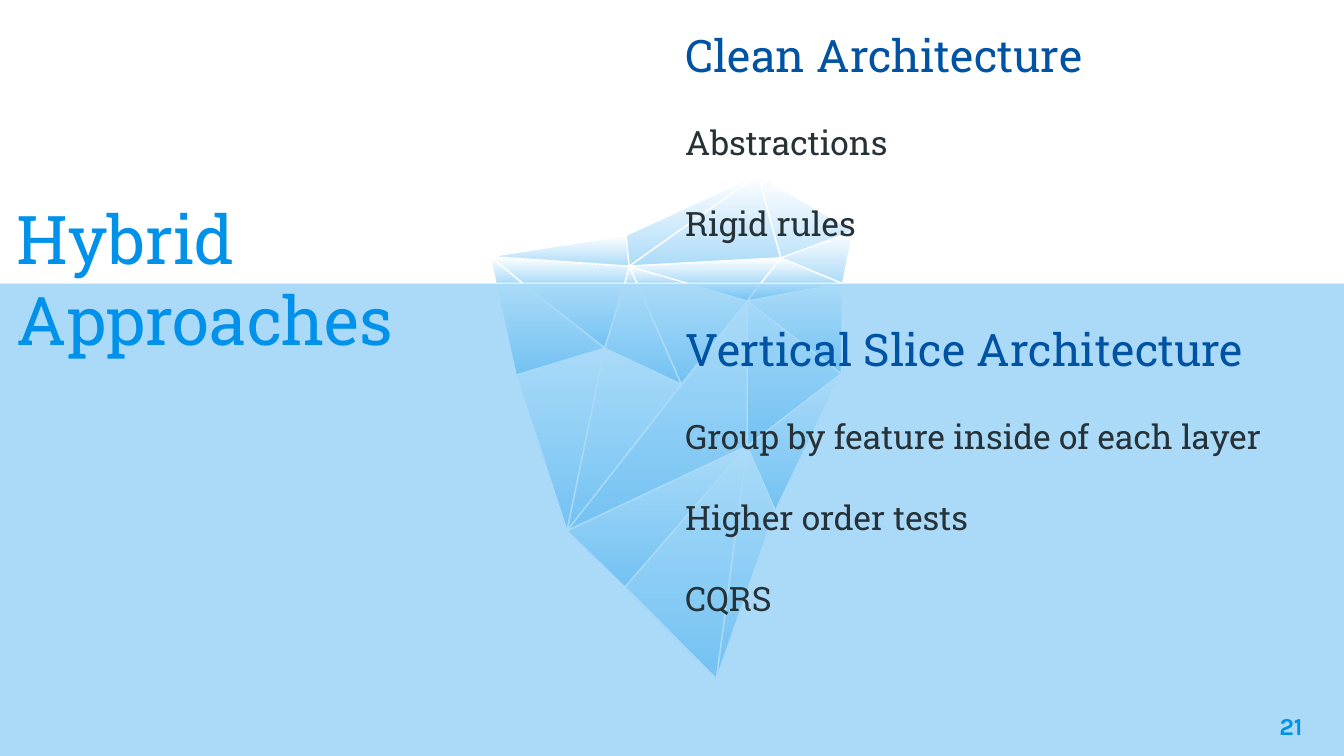
from lxml.etree import SubElement
from pptx import Presentation
from pptx.dml.color import RGBColor
from pptx.enum.shapes import MSO_SHAPE
from pptx.enum.text import MSO_ANCHOR, PP_ALIGN
from pptx.oxml.ns import qn
from pptx.util import Pt

COLORS = {
    "accent": "0091EA",
    "heading": "0053A3",
    "body": "263238",
    "ice_top": "FFFFFF",
    "ice_bottom": "ACDBF8",
}
SLIDE_WIDTH, SLIDE_HEIGHT = 720, 405
WATERLINE = 151.9

VERTICES = {
    "peak": (406.1, 93.6),
    "left_tip": (262.8, 137.5),
    "left_ridge": (335.5, 126),
    "centre": (337, 142.6),
    "right_ridge": (418.3, 138.2),
    "right_tip": (457.2, 123.8),
    "water1": (265.7, WATERLINE),
    "water2": (280.1, WATERLINE),
    "water3": (334.8, WATERLINE),
    "water4": (341.3, WATERLINE),
    "water5": (368.6, WATERLINE),
    "water6": (407.5, WATERLINE),
    "water7": (451.4, WATERLINE),
    "inner_left": (324, 186.5),
    "inner_middle": (365, 205.9),
    "inner_right": (400.3, 161.3),
    "left_edge": (276.5, 200.9),
    "right_edge": (450.7, 200.2),
    "core": (400.3, 239),
    "low_left": (303.8, 284.4),
    "low_right": (415.4, 273.6),
    "foot": (334.8, 314.6),
    "bottom": (383.8, 363.6),
}

# Facets of the iceberg, from back to front
FACETS = [
    "water7 left_tip water2",
    "peak centre right_ridge",
    "peak right_tip water7 right_ridge",
    "left_tip water2 water1",
    "centre water3 water2 left_tip",
    "peak centre left_tip left_ridge",
    "right_ridge water7 water6",
    "water4 centre water5",
    "left_tip water2 water1",
    "left_ridge centre left_tip",
    "right_tip right_ridge water7",
    "water4 centre water3",
    "water7 right_edge core inner_right",
    "inner_left low_left left_edge",
    "water3 inner_left water2",
    "core low_right bottom",
    "water7 inner_right water6",
    "inner_middle water4 water5 inner_right",
    "inner_middle inner_left low_left",
    "inner_right low_left core",
    "water2 inner_left left_edge water1",
    "water7 inner_right right_edge",
    "inner_left inner_middle water4 water3",
    "low_left core foot",
    "foot bottom core",
    "right_edge low_right core",
    "centre right_ridge water6 water5",
    "inner_right water6 water5",
]


class IcebergSlide:
    font = "Roboto Slab"
    heading_size = 24
    body_size = 18
    body_gap = 21.7

    def __init__(self, slide):
        self.slide = slide

    def color(self, name):
        return RGBColor.from_string(COLORS[name])

    def facet(self, names):
        """Draw one iceberg face through the named vertices."""
        points = [tuple(Pt(value) for value in VERTICES[name]) for name in names.split()]
        builder = self.slide.shapes.build_freeform(*points[0])
        builder.add_line_segments(points[1:], close=True)
        shape = builder.convert_to_shape()
        shape.shadow.inherit = False
        shape.fill.gradient()
        shape.fill.gradient_angle = 270
        for stop, position, name in zip(shape.fill.gradient_stops, (0, 1), ("ice_top", "ice_bottom")):
            stop.position = position
            stop.color.rgb = self.color(name)
        shape.line.color.rgb = self.color("ice_top")
        shape.line.width = Pt(0.75)

    def water(self, opacity):
        shape = self.slide.shapes.add_shape(
            MSO_SHAPE.RECTANGLE, 0, Pt(WATERLINE), Pt(SLIDE_WIDTH), Pt(SLIDE_HEIGHT - WATERLINE))
        shape.shadow.inherit = False
        shape.fill.solid()
        shape.fill.fore_color.rgb = self.color("accent")
        shape.line.fill.background()
        color = next(shape.fill._xPr.iter(qn("a:srgbClr")))
        SubElement(color, qn("a:alpha")).set("val", str(opacity * 1000))

    def text_frame(self, box, vertical_inset, anchor=MSO_ANCHOR.TOP):
        frame = self.slide.shapes.add_textbox(*(Pt(value) for value in box)).text_frame
        frame.word_wrap = True
        frame.vertical_anchor = anchor
        frame.margin_left = frame.margin_right = Pt(7.2)
        frame.margin_top = frame.margin_bottom = Pt(vertical_inset)
        return frame

    def format_runs(self, paragraph, size, color, font=None, bold=False):
        for run in paragraph.runs:
            run.font.name = font or self.font
            run.font.size = Pt(size)
            run.font.bold = bold
            run.font.color.rgb = self.color(color)

    def title(self, text, box):
        frame = self.text_frame(box, 7.2, MSO_ANCHOR.BOTTOM)
        paragraph = frame.paragraphs[0]
        paragraph.text = text
        self.format_runs(paragraph, 36, "accent")

    def section(self, heading, items, box):
        frame = self.text_frame(box, 3.6)
        frame.text = "\n".join([heading, *items])
        first, *others = frame.paragraphs
        self.format_runs(first, self.heading_size, "heading")
        for paragraph in others:
            paragraph.space_before = Pt(self.body_gap)
            self.format_runs(paragraph, self.body_size, "body")

    def page_number(self, text, box):
        paragraph = self.text_frame(box, 7.2).paragraphs[0]
        paragraph.text = text
        paragraph.alignment = PP_ALIGN.RIGHT
        self.format_runs(paragraph, 13, "accent", font="Karla", bold=True)


def main():
    presentation = Presentation()
    presentation.slide_width = Pt(SLIDE_WIDTH)
    presentation.slide_height = Pt(SLIDE_HEIGHT)
    page = IcebergSlide(presentation.slides.add_slide(presentation.slide_layouts[6]))

    for names in FACETS:
        page.facet(names)
    page.title("Hybrid\vApproaches", (2, 85.7, 600.5, 113.8))
    page.water(opacity=33)
    page.section("Clean Architecture", ["Abstractions", "Rigid rules"], (360, 11.5, 303.8, 135.4))
    page.section(
        "Vertical Slice Architecture",
        ["Group by feature inside of each layer", "Higher order tests", "CQRS"],
        (360, 169, 339, 172),
    )
    page.page_number("21", (661.7, 373.7, 43.2, 31))
    presentation.save("out.pptx")


if __name__ == "__main__":
    main()
